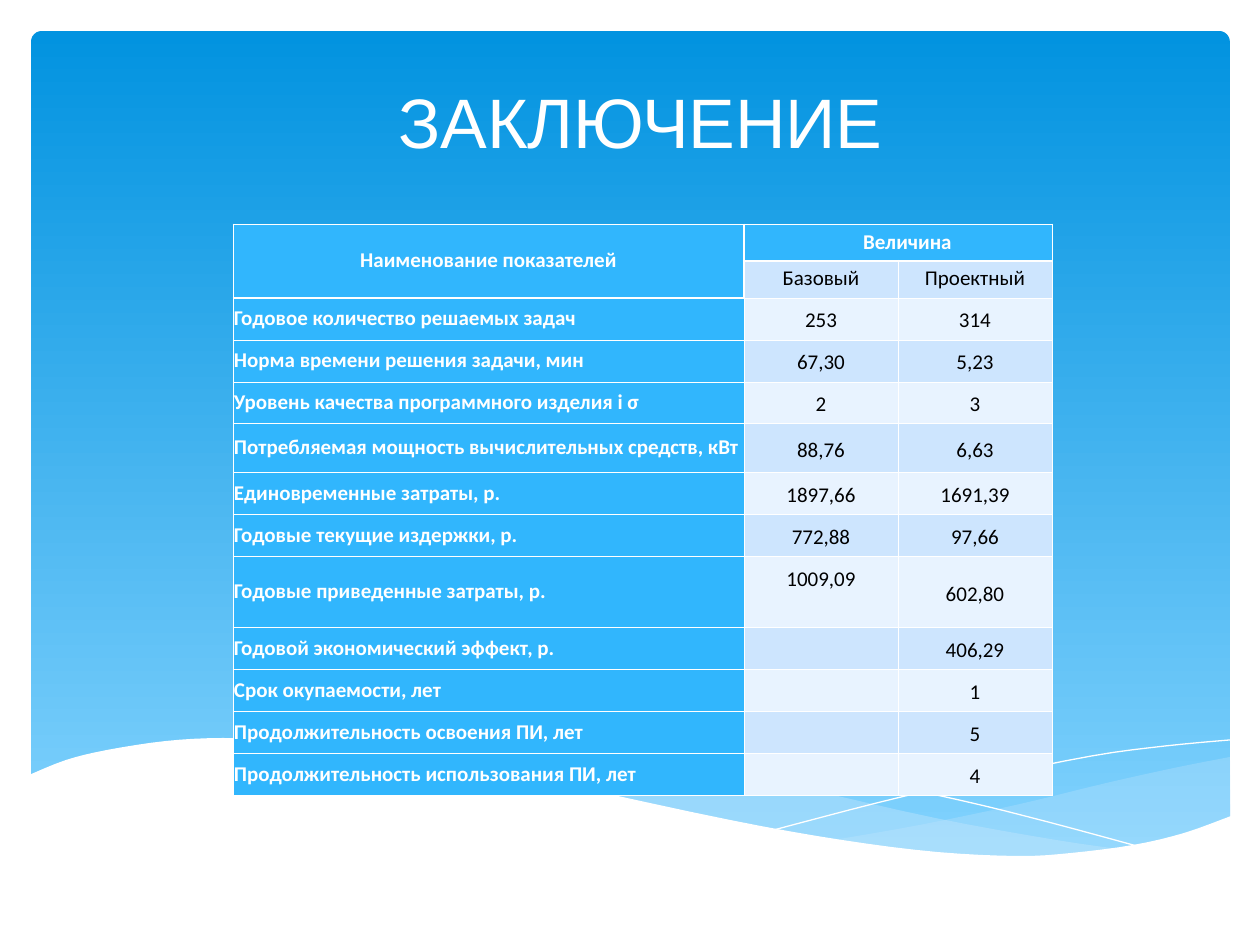
from lxml.etree import SubElement
from pptx import Presentation
from pptx.dml.color import RGBColor
from pptx.enum.shapes import MSO_SHAPE as Shape
from pptx.enum.text import MSO_ANCHOR as Anchor, PP_ALIGN as Align
from pptx.oxml.ns import qn
from pptx.util import Pt

WHITE, BLACK, PALE = "FFFFFF", "000000", "C6E7FC"
LABEL_FILL, BANDS = "31B6FD", ("E8F3FF", "CDE5FE")
THIN, THICK = 0.45, 1.47
COLUMN_WIDTHS = (511, 154, 154)
ROWS = [
    (37, "Наименование показателей", "Величина", ""),
    (37, "", "Базовый", "Проектный"),
    (42, "Годовое количество решаемых задач", "253", "314"),
    (42, "Норма времени решения задачи, мин", "67,30", "5,23"),
    (42, "Уровень качества программного изделия i σ", "2", "3"),
    (49, "Потребляемая мощность вычислительных средств, кВт", "88,76", "6,63"),
    (42, "Единовременные затраты, р.", "1897,66", "1691,39"),
    (42, "Годовые текущие издержки, р.", "772,88", "97,66"),
    (71, "Годовые приведенные затраты, р.", "1009,09", "602,80"),
    (42, "Годовой экономический эффект, р.", "", "406,29"),
    (42, "Срок окупаемости, лет", "", "1"),
    (42, "Продолжительность освоения ПИ, лет", "", "5"),
    (42, "Продолжительность использования ПИ, лет", "", "4"),
]
RIGHT_TOP = [(1230, 757), (1179, 767), (1124, 779), (1086, 788), (1016, 805),
             (920, 825), (834, 840)]
RIGHT_BOTTOM = [(834, 840), (890, 848), (955, 854), (1027, 857), (1089, 853),
                (1143, 845), (1189, 833), (1231, 818)]
BAND_TOP = [(1126, 850), (1056, 840), (935, 818), (794, 786), (699, 765),
            (616, 751), (529, 742), (456, 740), (362, 747)]
BAND_BOTTOM = [(362, 747), (432, 757), (510, 772), (567, 786), (668, 809),
               (759, 828), (858, 844), (944, 854), (1018, 857), (1081, 856),
               (1126, 850)]
FALLING_LINE = [(391, 752), (457, 743), (546, 742), (644, 748), (733, 759),
                (839, 775), (959, 800), (1048, 822), (1144, 848)]
RISING_LINE = [(774, 830), (877, 803), (979, 779), (1092, 756), (1166, 746),
               (1230, 740)]
WHITE_WAVE = [(1231, 816), (1184, 833), (1133, 845), (1071, 853), (1019, 856),
              (937, 852), (842, 840), (730, 820), (563, 784), (460, 761),
              (368, 746), (290, 740), (222, 738), (166, 741), (107, 750),
              (66, 760), (29, 775)]


def px(length):
    return round(length * 914400 / 126)


def color(value):
    return RGBColor.from_string(value)


def smooth(points, steps=4):
    ends = [points[0], *points, points[-1]]
    curve = [points[0]]
    for a, b, c, d in zip(ends, ends[1:], ends[2:], ends[3:]):
        for step in range(1, steps + 1):
            t = step / steps
            curve.append(tuple(
                (2 * q + (r - p) * t + (2 * p - 5 * q + 4 * r - s) * t ** 2
                 + (3 * q - p - 3 * r + s) * t ** 3) / 2
                for p, q, r, s in zip(a, b, c, d)))
    return curve


def add_outline(page, points, fill=None, opacity=100, line=None):
    start, *rest = [(px(x), px(y)) for x, y in points]
    builder = page.shapes.build_freeform(*start)
    builder.add_line_segments(rest, close=fill is not None)
    outline = builder.convert_to_shape()
    outline.shadow.inherit = False
    if fill:
        outline.fill.solid()
        outline.fill.fore_color.rgb = color(fill)
        if opacity < 100:
            tint = outline.fill._xPr.find(".//" + qn("a:srgbClr"))
            SubElement(tint, qn("a:alpha"), val=str(opacity * 1000))
    else:
        outline.fill.background()
    if line:
        outline.line.color.rgb = color(line)
        outline.line.width = Pt(0)
    else:
        outline.line.fill.background()


def add_panel(page):
    panel = page.shapes.add_shape(Shape.ROUNDED_RECTANGLE,
                                  px(31), px(31), px(1199), px(832))
    panel.adjustments[0] = 0.013
    panel.shadow.inherit = False
    panel.line.fill.background()
    panel.fill.gradient()
    panel.fill.gradient_angle = 270
    for stop, value in zip(panel.fill.gradient_stops, ("0293E0", "83D3FE")):
        stop.color.rgb = color(value)


def write(frame, text, size=12, font="Calibri", ink=BLACK, bold=False,
          align=Align.CENTER, spacing=None):
    para = frame.paragraphs[0]
    para.alignment = align
    if spacing:
        para.line_spacing = spacing
    if not text:
        SubElement(para._p, qn("a:endParaRPr"), sz=str(size * 100))
        return
    span = para.add_run()
    span.text = text
    span.font.size = Pt(size)
    span.font.name = font
    span.font.bold = bold
    span.font.color.rgb = color(ink)


def place_title(page, text):
    title = page.shapes.title
    page.shapes._spTree.append(title._element)
    title.left, title.top, title.width, title.height = map(px, (105, 66, 1071, 103))
    title.text_frame.word_wrap = True
    title.text_frame.vertical_anchor = Anchor.BOTTOM
    write(title.text_frame, text, size=40, font="Arial", ink=WHITE)


def set_borders(cell, thick_sides):
    props = cell._tc.get_or_add_tcPr()
    for side in "LRTB":
        width = THICK if side in thick_sides else THIN
        border = SubElement(props, qn("a:ln" + side), w=str(int(Pt(width))))
        fill = SubElement(border, qn("a:solidFill"))
        SubElement(fill, qn("a:srgbClr"), val=WHITE)


def thick_sides(row, column):
    if column == 0:
        return {0: "R", 1: "RB", 2: "T"}.get(row, "")
    return {0: "B", 1: "T"}.get(row, "") + ("L" if column == 1 and row < 2 else "")


def format_cell(cell, text, row, column):
    is_label = column == 0 or row == 0
    set_borders(cell, thick_sides(row, column))
    cell.fill.solid()
    cell.fill.fore_color.rgb = color(LABEL_FILL if is_label else BANDS[row % 2])
    cell.margin_left = px(20 if (row, column) == (0, 1) else 1)
    cell.margin_right = px(1)
    cell.margin_top = cell.margin_bottom = px(6)
    cell.vertical_anchor = Anchor.TOP if text == "1009,09" else Anchor.MIDDLE
    write(cell.text_frame, text, ink=WHITE if is_label else BLACK, bold=is_label,
          align=Align.LEFT if column == 0 and row > 1 else Align.CENTER,
          spacing=Pt(13.9) if column == 0 or row < 2 else 1.15)


def add_indicators(page):
    heights = [row[0] for row in ROWS]
    table = page.shapes.add_table(len(ROWS), len(COLUMN_WIDTHS), px(233), px(224),
                                  px(sum(COLUMN_WIDTHS)), px(sum(heights))).table
    table.first_row = table.horz_banding = False
    for column, width in zip(table.columns, COLUMN_WIDTHS):
        column.width = px(width)
    for row, (height, *texts) in enumerate(ROWS):
        table.rows[row].height = px(height)
        for column, text in enumerate(texts):
            format_cell(table.cell(row, column), text, row, column)
    table.cell(0, 0).merge(table.cell(1, 0))
    table.cell(0, 1).merge(table.cell(0, 2))


def main():
    deck = Presentation()
    deck.slide_width, deck.slide_height = px(1260), px(945)
    page = deck.slides.add_slide(deck.slide_layouts[5])
    add_panel(page)
    add_outline(page, smooth(RIGHT_TOP) + smooth(RIGHT_BOTTOM), fill=PALE, opacity=29)
    add_outline(page, smooth(BAND_TOP) + smooth(BAND_BOTTOM), fill=PALE, opacity=40)
    for points in (FALLING_LINE, RISING_LINE):
        add_outline(page, smooth(points), line=WHITE)
    add_outline(page, smooth(WHITE_WAVE) + [(29, 921), (1231, 921)], fill=WHITE)
    place_title(page, "ЗАКЛЮЧЕНИЕ")
    add_indicators(page)
    deck.save("out.pptx")


if __name__ == "__main__":
    main()
